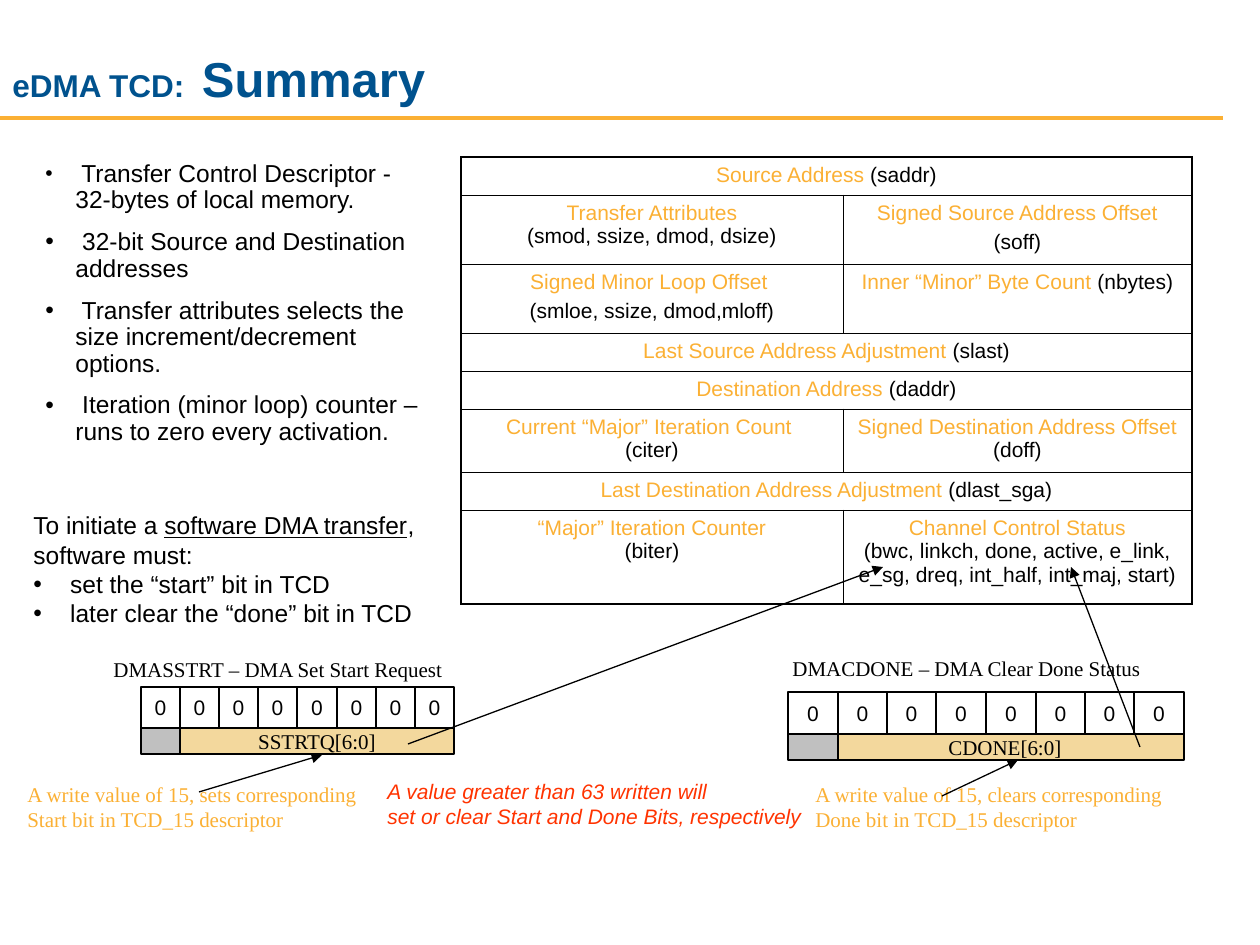
from copy import deepcopy

from lxml import etree
from pptx import Presentation
from pptx.dml.color import RGBColor
from pptx.enum import shapes, text
from pptx.oxml import ns
from pptx import util as u

PX = u.Inches(1) / 126
COLORS = {"blue": "00528E", "amber": "FBB034", "sand": "F3D89D",
          "gray": "C0C0C0", "red": "FF3300", "black": "000000"}
SANS, SERIF = "Arial", "Times New Roman"


def px(*lengths):
    """Turn pixel lengths into EMU."""
    return [u.Emu(round(length * PX)) for length in lengths]


def rgb(name):
    """Look a colour up by name."""
    return RGBColor.from_string(COLORS[name])


def add_run(paragraph, words, size=12, face=SANS, color="black", **style):
    """Add one run, with a line break after it when the words end in one."""
    run = paragraph.add_run()
    run.text = words.rstrip("\n")
    font = run.font
    font.size, font.name = u.Pt(size), face
    font.color.rgb = rgb(color)
    for key, value in style.items():
        setattr(font, key, value)
    if words.endswith("\n"):
        paragraph.add_line_break()
        paragraph._p[-1].append(deepcopy(run._r.rPr))


def add_bullet(paragraph, indent=30):
    """Give a paragraph a hanging round bullet."""
    properties = paragraph._p.get_or_add_pPr()
    hang = px(indent)[0]
    properties.set("marL", str(hang))
    properties.set("indent", str(-hang))
    etree.SubElement(properties, ns.qn("a:buFont"), typeface=SANS)
    etree.SubElement(properties, ns.qn("a:buChar"), char="•")


def next_paragraph(frame):
    """Return the unused first paragraph or a new one."""
    return frame.add_paragraph() if frame.paragraphs[0].runs else frame.paragraphs[0]


def add_frame(slide, box, wrap=True):
    """Add a text box and return its frame."""
    frame = slide.shapes.add_textbox(*px(*box)).text_frame
    frame.word_wrap = wrap
    frame.auto_size = text.MSO_AUTO_SIZE.SHAPE_TO_FIT_TEXT
    return frame


def add_lines(slide, box, lines, **style):
    """Add a label with one unwrapped paragraph per line."""
    frame = add_frame(slide, box, wrap=False)
    for line in lines:
        add_run(next_paragraph(frame), line, **style)


def add_line(slide, start, end, color="black", width=0.75, arrow=False):
    """Draw a straight line, with an arrowhead at its end if asked."""
    line = slide.shapes.add_connector(
        shapes.MSO_CONNECTOR.STRAIGHT, *px(*start, *end))
    line.line.color.rgb, line.line.width = rgb(color), u.Pt(width)
    if arrow:
        etree.SubElement(line.line._get_or_add_ln(), ns.qn("a:tailEnd"), type="triangle")
    etree.SubElement(line._element.spPr, ns.qn("a:effectLst"))


def add_title(slide, box, rule_width):
    """Place the heading and the rule under it."""
    left, top, width, height = box
    add_line(slide, (left, top + height + 2), (left + rule_width, top + height + 2),
             "amber", 2.25)
    frame = add_frame(slide, box)
    frame.auto_size = text.MSO_AUTO_SIZE.NONE
    frame.vertical_anchor = text.MSO_ANCHOR.BOTTOM
    for words, size in (("eDMA TCD:", 18), (" ", 36), ("Summary", 28)):
        add_run(frame.paragraphs[0], words, size, color="blue", bold=True)


def add_features(slide, box):
    """List what the descriptor does."""
    frame = add_frame(slide, box)
    features = (
        ((" ", 12), ("Transfer Control Descriptor - 32-bytes of local memory.", 14)),
        ((" 32-bit Source and Destination addresses", 14),),
        ((" Transfer attributes selects the size increment/decrement options.", 14),),
        ((" Iteration (minor loop) counter – runs to zero every activation.", 14),))
    for feature in features:
        paragraph = next_paragraph(frame)
        paragraph.line_spacing, paragraph.space_before = 0.9, u.Pt(8.8)
        add_bullet(paragraph)
        for words, size in feature:
            add_run(paragraph, words, size)


def add_steps(slide, box):
    """Explain how software starts a transfer."""
    frame = add_frame(slide, box)
    intro = frame.paragraphs[0]
    add_run(intro, "To initiate a ", 14)
    add_run(intro, "software DMA transfer", 14, underline=True)
    add_run(intro, ", software must:", 14)
    for step in (" set the “start” bit in TCD", " later clear the “done” bit in TCD"):
        paragraph = next_paragraph(frame)
        add_bullet(paragraph)
        add_run(paragraph, step, 14)


def set_borders(cell, widths):
    """Draw the left, right, top and bottom borders of a cell."""
    properties = cell._tc.get_or_add_tcPr()
    for index, (side, width) in enumerate(zip("LRTB", widths)):
        border = etree.Element(ns.qn(f"a:ln{side}"), w=str(u.Pt(width)))
        fill = etree.SubElement(border, ns.qn("a:solidFill"))
        etree.SubElement(fill, ns.qn("a:srgbClr"), val=COLORS["black"])
        properties.insert(index, border)


def add_descriptor(slide, box):
    """Lay out the descriptor's fields, each a name and its short names."""
    rows = (
        (38, [[("Source Address", " (saddr)")]]),
        (69, [[("Transfer Attributes\n", "(smod, ssize, dmod, dsize)")],
              [("Signed Source Address Offset",), ("", "(soff)")]]),
        (69, [[("Signed Minor Loop Offset ",), ("", "(smloe, ssize, dmod,mloff)")],
              [("Inner “Minor” Byte Count", " (nbytes)")]]),
        (38, [[("Last Source Address Adjustment", " (slast)")]]),
        (38, [[("Destination Address", " (daddr)")]]),
        (63, [[("Current “Major” Iteration Count \n", "(citer)")],
              [("Signed Destination Address Offset\n", "(doff)")]]),
        (38, [[("Last Destination Address Adjustment", " (dlast_sga)")]]),
        (94, [[("“Major” Iteration Counter\n", "(biter)")],
              [("Channel Control Status\n",
                "(bwc, linkch, done, active, e_link, e_sg, dreq, int_half, int_maj, start)")]]))
    thick, thin = 1.08, 0.45
    table = slide.shapes.add_table(len(rows), 2, *px(*box)).table
    table.first_row = table.horz_banding = False
    for column, width in zip(table.columns, px(382, box[2] - 382)):
        column.width = width
    for r, (height, fields) in enumerate(rows):
        table.rows[r].height = px(height)[0]
        for c in range(2):
            cell = table.cell(r, c)
            cell.fill.background()
            set_borders(cell, (thin if c else thick,
                               thick if c or len(fields) == 1 else thin,
                               thin if r else thick,
                               thick if r == len(rows) - 1 else thin))
        if len(fields) == 1:
            table.cell(r, 0).merge(table.cell(r, 1))
        for c, field in enumerate(fields):
            frame = table.cell(r, c).text_frame
            for parts in field:
                paragraph = next_paragraph(frame)
                paragraph.alignment = text.PP_ALIGN.CENTER
                paragraph.space_before = u.Pt(3)
                for words, color in zip(parts, ("amber", "black")):
                    if words:
                        add_run(paragraph, words, color=color)


def add_cell(slide, box, words="", face=SANS, fill=None, shift=0):
    """Draw one outlined register cell, its words moved left by a shift."""
    cell = slide.shapes.add_shape(shapes.MSO_SHAPE.RECTANGLE, *px(*box))
    cell.shadow.inherit = False
    cell.line.color.rgb, cell.line.width = rgb("black"), u.Pt(0.75)
    if fill:
        cell.fill.solid()
        cell.fill.fore_color.rgb = rgb(fill)
    else:
        cell.fill.background()
    if words:
        frame = cell.text_frame
        frame.word_wrap = False
        frame.vertical_anchor = text.MSO_ANCHOR.MIDDLE
        frame.margin_right = u.Inches(0.1) + px(2 * shift)[0]
        frame.paragraphs[0].alignment = text.PP_ALIGN.CENTER
        add_run(frame.paragraphs[0], words, face=face)


def add_register(slide, box, caption, field, shift=0, bits=8, field_height=26):
    """Draw a register: caption, a row of bits, and the field below them."""
    left, top, width, height = box
    dx, dy, caption_width, name = caption
    add_lines(slide, (left + dx, top + dy, caption_width, 38), [name], face=SERIF)
    edges = [left + round(width * bit / bits) for bit in range(bits + 1)]
    middle = top + height - field_height
    for start, end in zip(edges, edges[1:]):
        add_cell(slide, (start, top, end - start, middle - top), "0")
    add_cell(slide, (left, middle, edges[1] - left, field_height), fill="gray")
    add_cell(slide, (edges[1], middle, edges[-1] - edges[1], field_height),
             field, SERIF, "sand", shift)


def main():
    """Build the summary slide."""
    deck = Presentation()
    deck.slide_width, deck.slide_height = px(1260, 945)
    slide = deck.slides.add_slide(deck.slide_layouts[6])
    add_title(slide, (0, 24, 1077, 92), 1223)
    add_features(slide, (33, 155, 411, 271))
    add_steps(slide, (21, 504, 456, 131))
    add_descriptor(slide, (461, 157, 731, 447))
    add_register(slide, (141, 687, 313, 67),
                 (-40, -37, 357, "DMASSTRT – DMA Set Start Request"), "SSTRTQ[6:0]")
    add_register(slide, (788, 692, 396, 68),
                 (-8, -43, 374, "DMACDONE – DMA Clear Done Status"), "CDONE[6:0]", shift=6)
    add_lines(slide, (15, 775, 355, 63), ["A write value of 15, sets corresponding",
              "Start bit in TCD_15 descriptor"], face=SERIF, color="amber")
    add_lines(slide, (803, 775, 373, 63), ["A write value of 15, clears corresponding",
              "Done bit in TCD_15 descriptor"], face=SERIF, color="amber")
    add_lines(slide, (375, 772, 440, 63), ["A value greater than 63 written will",
              "set or clear Start and Done Bits, respectively"], color="red", italic=True)
    for start, end in (((408, 744), (883, 567)), ((199, 792), (322, 755)),
                       ((942, 796), (1018, 760)), ((1140, 747), (1071, 567))):
        add_line(slide, start, end, arrow=True)
    deck.save("out.pptx")


if __name__ == "__main__":
    main()
